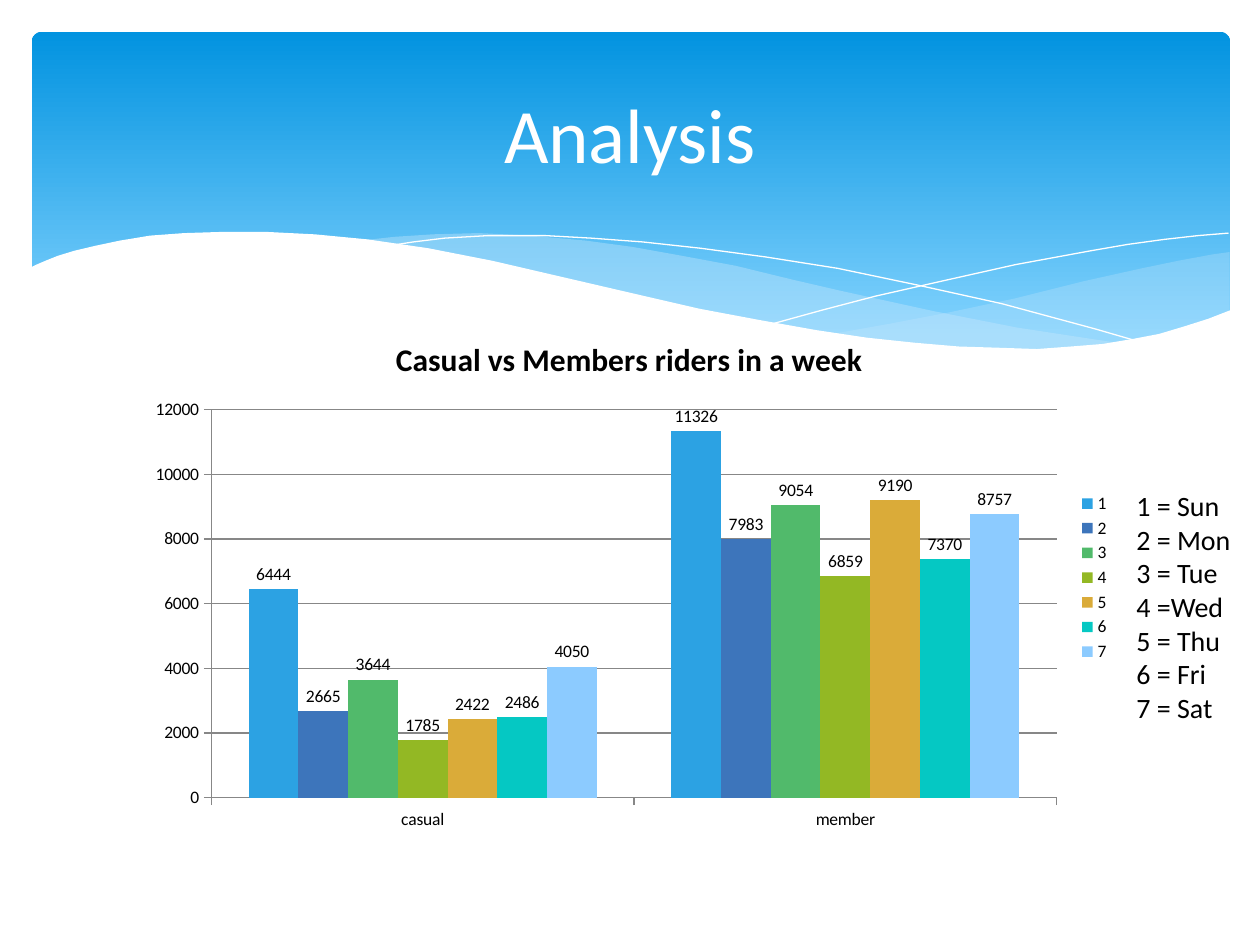
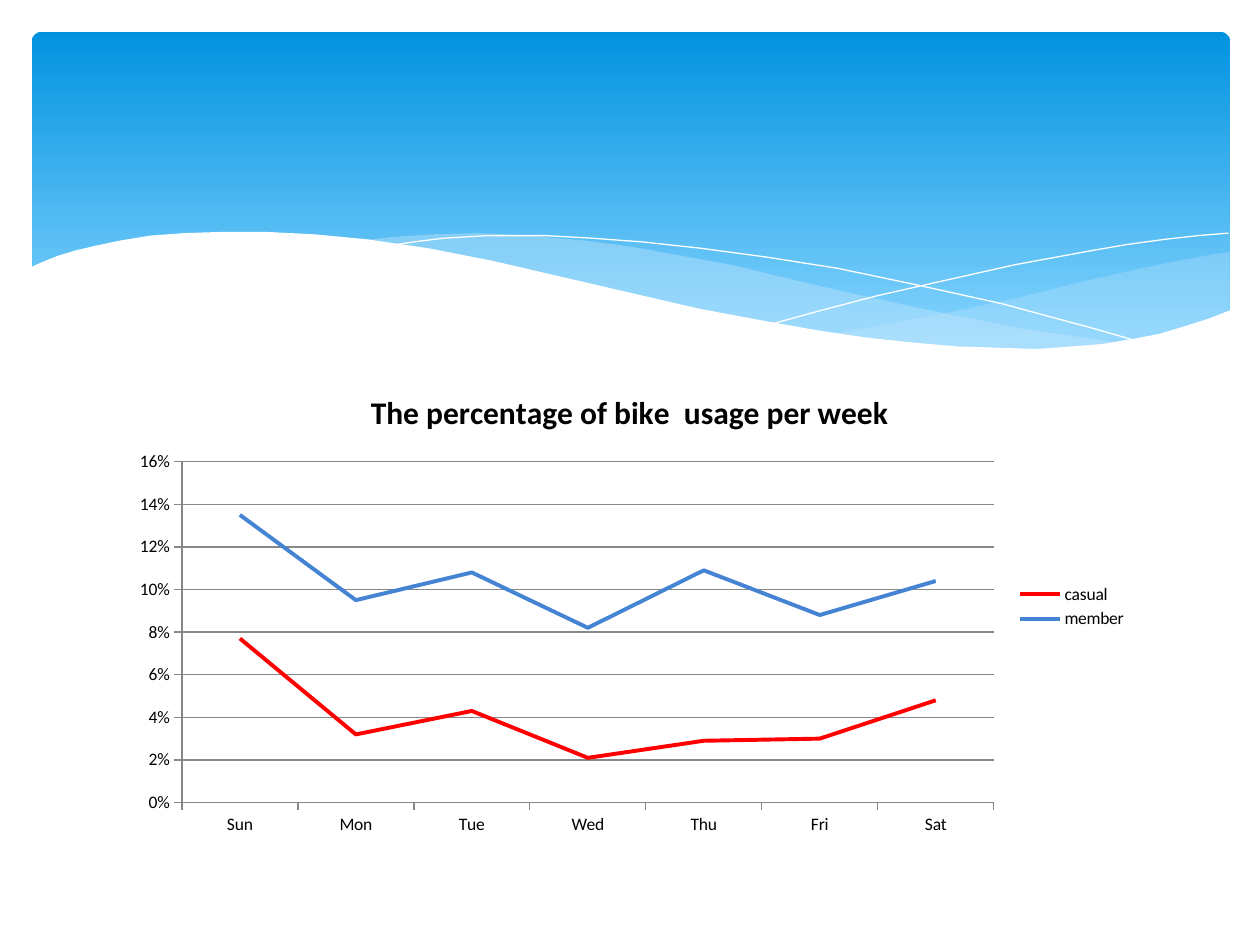
from lxml.etree import SubElement
from pptx import Presentation
from pptx.chart.data import CategoryChartData as Data
from pptx.dml.color import RGBColor as Rgb
from pptx.enum.chart import XL_CHART_TYPE as Kind, XL_LABEL_POSITION as Spot
from pptx.enum.chart import XL_LEGEND_POSITION as Side, XL_TICK_MARK as Tick
from pptx.enum.shapes import MSO_SHAPE as Form
from pptx.enum.text import MSO_ANCHOR as Anchor, PP_ALIGN as Align
from pptx.oxml.ns import qn
from pptx.util import Cm, Pt

FONT = "Calibri"
HUE = {
    "top": "0293E0", "low": "83D3FE", "mist": "C6E7FC", "white": "FFFFFF",
    "black": "000000", "grid": "878787", "red": "FF0000", "blue": "4584D3",
}
BARS = ["2CA2E3", "3D75BB", "51BA6B", "93B824", "DAAB39", "05C8C3", "8CCBFF"]
DAYS = ["Sun", "Mon", "Tue", "Wed", "Thu", "Fri", "Sat"]
RIDES = [(6444, 11326), (2665, 7983), (3644, 9054), (1785, 6859),
         (2422, 9190), (2486, 7370), (4050, 8757)]
SHARE = {
    "casual": (0.077, 0.032, 0.043, 0.021, 0.029, 0.03, 0.048),
    "member": (0.135, 0.095, 0.108, 0.082, 0.109, 0.088, 0.104),
}

UNIT = Cm(0.0254)
RIGHT = [
    (976, 200), (962, 202), (935, 207), (906, 213), (861, 223), (805, 237),
    (753, 248), (706, 257), (661, 265), (691, 269), (719, 272), (745, 275),
    (781, 277), (814, 278), (844, 277), (872, 274), (897, 270), (921, 265),
    (942, 259), (963, 252), (976, 247),
]
MIDDLE = [
    (893, 273), (866, 269), (807, 260), (741, 247), (668, 231), (629, 222),
    (584, 211), (541, 203), (502, 196), (465, 191), (420, 187), (380, 185),
    (344, 186), (313, 188), (286, 191), (323, 196), (362, 203), (404, 211),
    (449, 222), (491, 232), (530, 240), (584, 252), (634, 261), (680, 268),
    (722, 274), (761, 277), (796, 278), (828, 278), (857, 277), (893, 273),
]
FALL = [
    (309, 195), (328, 192), (353, 189), (387, 187), (433, 187), (469, 189),
    (510, 192), (556, 197), (608, 204), (665, 213), (727, 226), (795, 241),
    (869, 261), (907, 272),
]
RISE = [
    (613, 257), (653, 246), (695, 235), (748, 223), (806, 210), (866, 199),
    (895, 194), (924, 190), (951, 187), (975, 185),
]
FRONT = [
    (977, 246), (959, 253), (940, 259), (920, 265), (899, 269), (875, 273),
    (850, 275), (823, 277), (793, 276), (761, 275), (726, 272), (688, 268),
    (648, 262), (603, 254), (555, 245), (503, 233), (447, 220), (391, 207),
    (340, 197), (292, 190), (250, 186), (211, 184), (177, 184), (146, 185),
    (119, 187), (95, 191), (76, 195), (59, 199), (46, 203), (36, 207),
    (29, 210), (23, 213), (23, 329), (977, 329),
]


def tint(name):
    return Rgb.from_string(HUE.get(name, name))


def box(*sizes):
    return [Cm(size) for size in sizes]


def style(font, size, hue="black", bold=False):
    font.name, font.size, font.bold = FONT, Pt(size), bold
    font.color.rgb = tint(hue)


def panel(slide):
    shape = slide.shapes.add_shape(
        Form.ROUNDED_RECTANGLE, *box(0.64, 0.64, 24.16, 6.86))
    shape.adjustments[0] = 0.03
    shape.shadow.inherit = False
    shape.line.fill.background()
    shape.fill.gradient()
    shape.fill.gradient_angle = 270
    for stop, place, hue in zip(shape.fill.gradient_stops, (0, 0.9), ("top", "low")):
        stop.position = place
        stop.color.rgb = tint(hue)
    return shape


def trace(slide, points, closed):
    pen = slide.shapes.build_freeform(*points[0], scale=UNIT)
    pen.add_line_segments(points[1:], close=closed)
    shape = pen.convert_to_shape()
    shape.shadow.inherit = False
    return shape


def wave(slide, points, hue, alpha=100):
    shape = trace(slide, points, True)
    shape.line.fill.background()
    shape.fill.solid()
    shape.fill.fore_color.rgb = tint(hue)
    if alpha < 100:
        paint = next(shape.element.iter(qn("a:srgbClr")))
        SubElement(paint, qn("a:alpha"), val=str(alpha * 1000))
    return shape


def curve(slide, points):
    shape = trace(slide, points, False)
    shape.fill.background()
    shape.line.color.rgb = tint("white")
    shape.line.width = Pt(0)
    return shape


def banner(slide):
    parts = [
        panel(slide),
        wave(slide, RIGHT, "mist", 29),
        wave(slide, MIDDLE, "mist", 40),
        curve(slide, FALL),
        curve(slide, RISE),
        wave(slide, FRONT, "white"),
    ]
    tree = slide.slide_layout.shapes.element
    for rank, part in enumerate(parts):
        part.element.nvSpPr.cNvPr.set("id", str(20 + rank))
        tree.insert(2 + rank, part.element)


def head(slide, text):
    title = slide.shapes.title
    title.left, title.top, title.width, title.height = box(1.27, 0.94, 22.86, 3.48)
    frame = title.text_frame
    frame.text = text
    frame.vertical_anchor = Anchor.MIDDLE
    frame.paragraphs[0].alignment = Align.CENTER
    style(frame.paragraphs[0].font, 44, "white")


def notes(slide, lines, place):
    frame = slide.shapes.add_textbox(*place).text_frame
    frame.word_wrap = True
    frame.text = "\n".join(lines)
    for para in frame.paragraphs:
        style(para.font, 16)


def graph(slide, kind, title, cats, series, place, top, step, fmt):
    data = Data(number_format=fmt)
    data.categories = cats
    for name, values in series:
        data.add_series(name, values)
    chart = slide.shapes.add_chart(kind, *place, data).chart
    style(chart.font, 10)
    chart.has_title = True
    chart.chart_title.include_in_layout = False
    frame = chart.chart_title.text_frame
    frame.text = title
    style(frame.paragraphs[0].font, 18, bold=True)
    chart.has_legend = True
    chart.legend.position = Side.RIGHT
    chart.legend.include_in_layout = False
    scale = chart.value_axis
    scale.minimum_scale, scale.maximum_scale, scale.major_unit = 0, top, step
    scale.tick_labels.number_format = fmt
    scale.tick_labels.number_format_is_linked = False
    scale.has_major_gridlines = True
    scale.major_gridlines.format.line.color.rgb = tint("grid")
    for axis in (scale, chart.category_axis):
        axis.major_tick_mark = Tick.OUTSIDE
        axis.minor_tick_mark = Tick.NONE
        axis.format.line.color.rgb = tint("grid")
    return chart.plots[0]


def bars(slide):
    series = [(str(day), pair) for day, pair in enumerate(RIDES, 1)]
    plot = graph(slide, Kind.COLUMN_CLUSTERED, "Casual vs Members riders in a week",
                 list(SHARE), series, box(2.74, 6.35, 19.89, 10.59),
                 12000, 2000, "General")
    plot.gap_width = 150
    plot.vary_by_categories = False
    for item, hue in zip(plot.series, BARS):
        item.format.fill.solid()
        item.format.fill.fore_color.rgb = tint(hue)
        item.data_labels.show_value = True
        item.data_labels.position = Spot.OUTSIDE_END


def lines(slide):
    plot = graph(slide, Kind.LINE, "The percentage of bike  usage per week",
                 DAYS, SHARE.items(), box(2.41, 7.44, 20.57, 9.58),
                 0.16, 0.02, "0%")
    plot.vary_by_categories = False
    for item, hue in zip(plot.series, ("red", "blue")):
        item.smooth = False
        item.format.line.color.rgb = tint(hue)
        item.format.line.width = Pt(2.25)


def main():
    deck = Presentation()
    deck.slide_width, deck.slide_height = box(25.4, 19.05)
    layout = deck.slide_layouts[5]

    week = deck.slides.add_slide(layout)
    banner(week)
    head(week, "Analysis")
    bars(week)
    key = [f"{rank} = {day}" for rank, day in enumerate(DAYS, 1)]
    key[3] = "4 =Wed"
    notes(week, key, box(22.66, 9.73, 2.54, 5.05))

    usage = deck.slides.add_slide(layout)
    blank = usage.shapes.title.element
    blank.getparent().remove(blank)
    lines(usage)

    deck.save("out.pptx")


if __name__ == "__main__":
    main()
